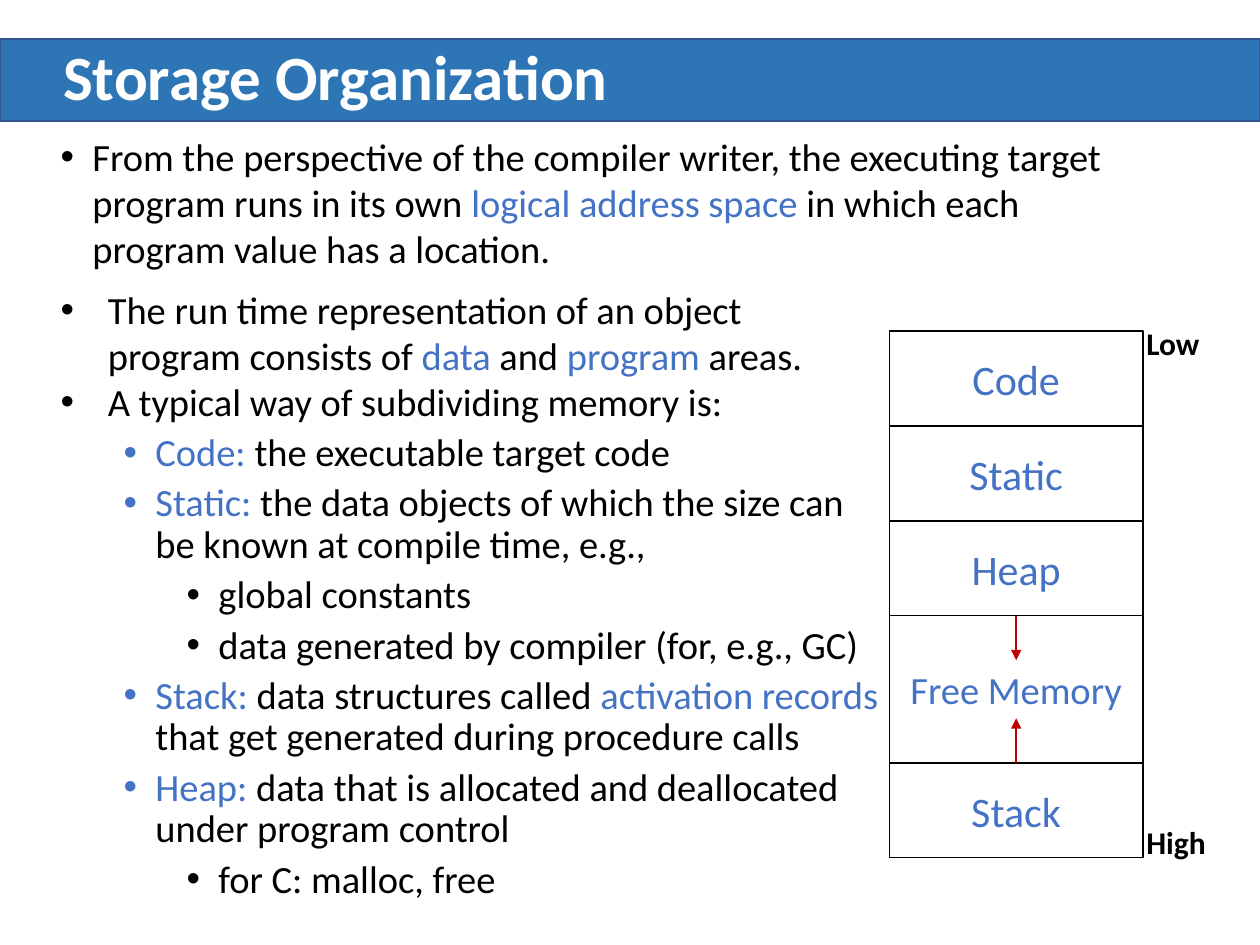
from dataclasses import dataclass

from lxml.etree import SubElement
from pptx import Presentation
from pptx.dml.color import RGBColor
from pptx.enum.shapes import MSO_CONNECTOR, MSO_SHAPE
from pptx.enum.text import MSO_ANCHOR, MSO_AUTO_SIZE, PP_ALIGN
from pptx.oxml.ns import qn
from pptx.util import Cm, Pt


@dataclass(frozen=True)
class Theme:
    """Colours, font and type sizes of the slide."""

    font: str = "Calibri"
    ink: RGBColor = RGBColor(0x00, 0x00, 0x00)
    paper: RGBColor = RGBColor(0xFF, 0xFF, 0xFF)
    accent: RGBColor = RGBColor(0x44, 0x72, 0xC4)
    band: RGBColor = RGBColor(0x2E, 0x75, 0xB6)
    band_edge: RGBColor = RGBColor(0x32, 0x54, 0x91)
    arrow: RGBColor = RGBColor(0xC0, 0x00, 0x00)
    title_size: int = 36
    body_size: int = 22
    block_size: int = 24
    label_size: int = 18


class SlideBuilder:
    """Draws styled elements on the current slide."""

    def __init__(self, slide, theme):
        """Keep the slide and its theme."""
        self.slide = slide
        self.theme = theme

    def place(self, shape, left, top, width, height):
        """Move and size a shape, given centimetres."""
        shape.left, shape.top = Cm(left), Cm(top)
        shape.width, shape.height = Cm(width), Cm(height)

    def style(self, paragraph, size, color, bold=False):
        """Set the font of a paragraph."""
        font = paragraph.font
        font.name, font.size, font.bold = self.theme.font, Pt(size), bold
        font.color.rgb = color

    def rectangle(self, left, top, width, height, edge):
        """Add an outlined rectangle without shadow."""
        shape = self.slide.shapes.add_shape(
            MSO_SHAPE.RECTANGLE, Cm(left), Cm(top), Cm(width), Cm(height))
        shape.shadow.inherit = False
        shape.fill.background()
        shape.line.color.rgb = edge
        shape.line.width = Pt(1)
        return shape

    def title(self, text, top, height):
        """Fill the title placeholder over a full-width band."""
        band = self.rectangle(0, top, 25.4, height, self.theme.band_edge)
        band.fill.solid()
        band.fill.fore_color.rgb = self.theme.band
        self.slide.shapes._spTree.insert(2, band._element)
        title = self.slide.shapes.title
        self.place(title, 1.02, top, 23.47, height)
        title.text_frame.text = text
        title.text_frame.vertical_anchor = MSO_ANCHOR.MIDDLE
        paragraph = title.text_frame.paragraphs[0]
        paragraph.alignment = PP_ALIGN.LEFT
        paragraph.line_spacing = 0.9
        self.style(paragraph, self.theme.title_size, self.theme.paper, True)

    def bullet(self, paragraph, margin, hanging):
        """Give a paragraph a hanging round bullet."""
        properties = paragraph._p.get_or_add_pPr()
        properties.set("marL", str(Cm(margin)))
        properties.set("indent", str(-Cm(hanging)))
        SubElement(properties, qn("a:buFont"), typeface="Arial")
        SubElement(properties, qn("a:buChar"), char="•")

    def bullet_list(self, index, box, items, hanging, anchor):
        """Fill a body placeholder with (level, text) items, *accented* in part."""
        placeholder = self.slide.placeholders[index]
        self.place(placeholder, *box)
        frame = placeholder.text_frame
        frame.word_wrap = True
        frame.auto_size = MSO_AUTO_SIZE.SHAPE_TO_FIT_TEXT
        frame.vertical_anchor = anchor
        for number, (level, text) in enumerate(items):
            paragraph = frame.add_paragraph() if number else frame.paragraphs[0]
            paragraph.level = level
            if level:
                self.bullet(paragraph, 0.64 + 1.27 * level, 0.64)
            else:
                self.bullet(paragraph, hanging, hanging)
            paragraph.line_spacing = 0.9 if level else 1.0
            paragraph.space_before = Pt(5 if level else 0)
            self.style(paragraph, self.theme.body_size, self.theme.ink)
            for position, piece in enumerate(text.split("*")):
                if piece:
                    run = paragraph.add_run()
                    run.text = piece
                    if position % 2:
                        run.font.color.rgb = self.theme.accent

    def block(self, text, top, height, size):
        """Add one area of the memory map."""
        shape = self.rectangle(17.93, top, 5.11, height, self.theme.ink)
        shape.text_frame.text = text
        shape.text_frame.vertical_anchor = MSO_ANCHOR.MIDDLE
        paragraph = shape.text_frame.paragraphs[0]
        paragraph.alignment = PP_ALIGN.CENTER
        self.style(paragraph, size, self.theme.accent)
        return shape

    def arrow(self, block, site, length):
        """Add a vertical arrow leaving a block; negative length points up."""
        center = block.left + block.width // 2
        start = block.top + (block.height if site == 2 else 0)
        connector = self.slide.shapes.add_connector(
            MSO_CONNECTOR.STRAIGHT, center, start, center, start + Cm(length))
        connector.begin_connect(block, site)
        connector.line.color.rgb = self.theme.arrow
        connector.line.width = Pt(1.5)
        SubElement(connector.line._get_or_add_ln(), qn("a:tailEnd"), type="triangle")
        SubElement(connector._element.spPr, qn("a:effectLst"))

    def label(self, text, top, width):
        """Add a bold address label beside the memory map."""
        box = self.slide.shapes.add_textbox(Cm(22.86), Cm(top), Cm(width), Cm(1.02))
        frame = box.text_frame
        frame.word_wrap = False
        frame.auto_size = MSO_AUTO_SIZE.SHAPE_TO_FIT_TEXT
        frame.text = text
        self.style(frame.paragraphs[0], self.theme.label_size, self.theme.ink, True)


INTRODUCTION = [
    (0, "From the perspective of the compiler writer, the executing target program "
        "runs in its own *logical address space* in which each program value has a location."),
]
MEMORY_AREAS = [
    (0, "The run time representation of an object program consists of *data* and *program* areas."),
    (0, "A typical way of subdividing memory is:"),
    (1, "*Code: *the executable target code"),
    (1, "*Static: *the data objects of which the size can be known at compile time, e.g.,"),
    (2, "global constants"),
    (2, "data generated by compiler (for, e.g., GC)"),
    (1, "*Stack: *data structures called *activation records *"
        "that get generated during procedure calls"),
    (1, "*Heap: *data that is allocated and deallocated under program control"),
    (2, "for C: malloc, free"),
]


def main():
    """Build and save the slide."""
    presentation = Presentation()
    presentation.slide_width, presentation.slide_height = Cm(25.4), Cm(19.05)
    slide = presentation.slides.add_slide(presentation.slide_layouts.get_by_name("Two Content"))
    theme = Theme()
    builder = SlideBuilder(slide, theme)
    builder.title("Storage Organization", 0.79, 1.65)
    builder.bullet_list(1, (0.97, 2.54, 22.56, 3.07), INTRODUCTION, 0.64, MSO_ANCHOR.MIDDLE)
    builder.bullet_list(2, (0.97, 5.64, 17.09, 12.78), MEMORY_AREAS, 0.95, MSO_ANCHOR.TOP)

    blocks = {}
    top = 6.68
    for name in ("Code", "Static", "Heap", "Free Memory", "Stack"):
        is_free = name == "Free Memory"
        height = 2.97 if is_free else 1.91
        size = theme.body_size if is_free else theme.block_size
        blocks[name] = builder.block(name, top, height, size)
        top += height
    builder.arrow(blocks["Heap"], 2, 0.9)
    builder.arrow(blocks["Stack"], 0, -0.9)
    builder.label("Low", 6.4, 1.6)
    builder.label("High", 16.46, 1.73)
    presentation.save("out.pptx")


if __name__ == "__main__":
    main()
